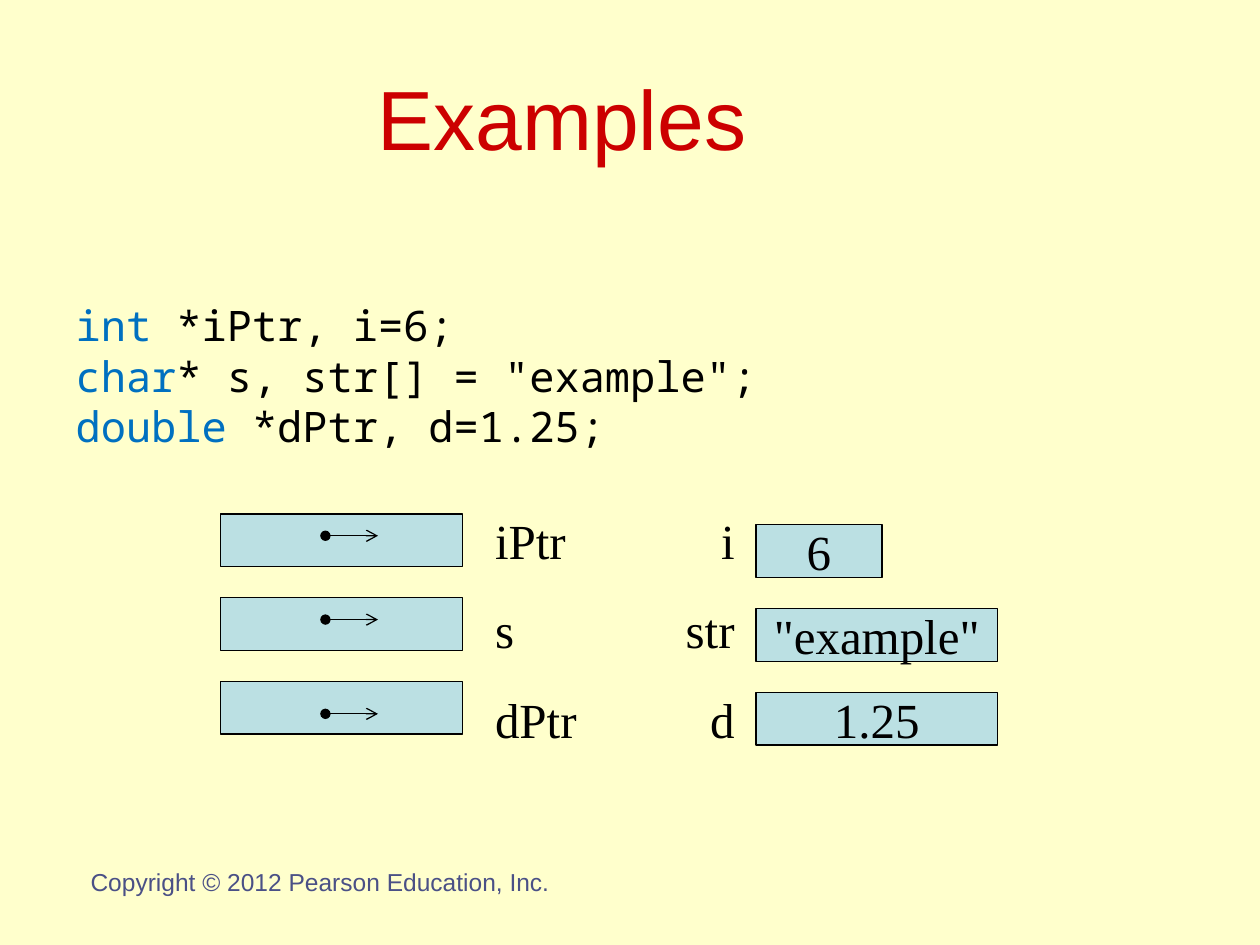
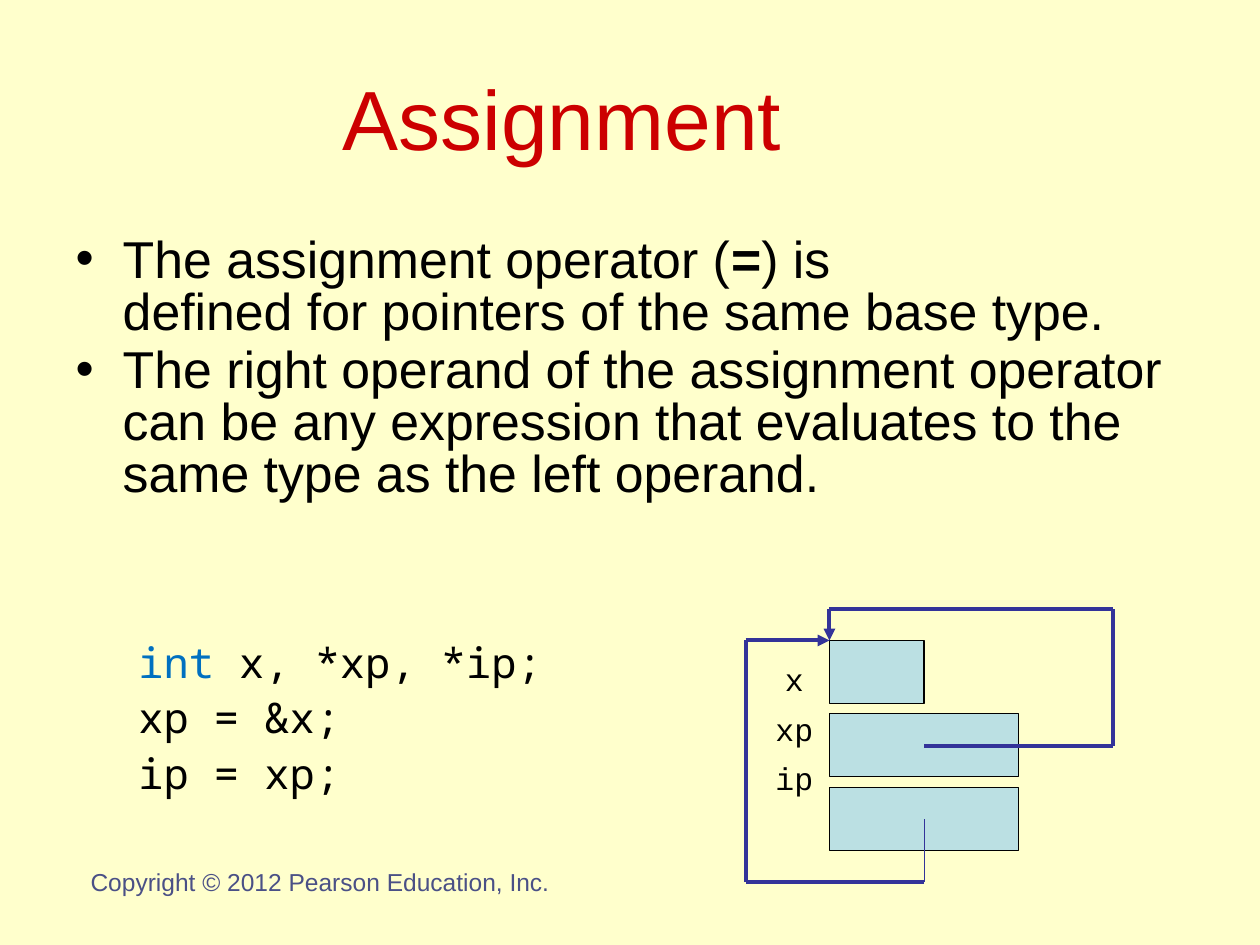
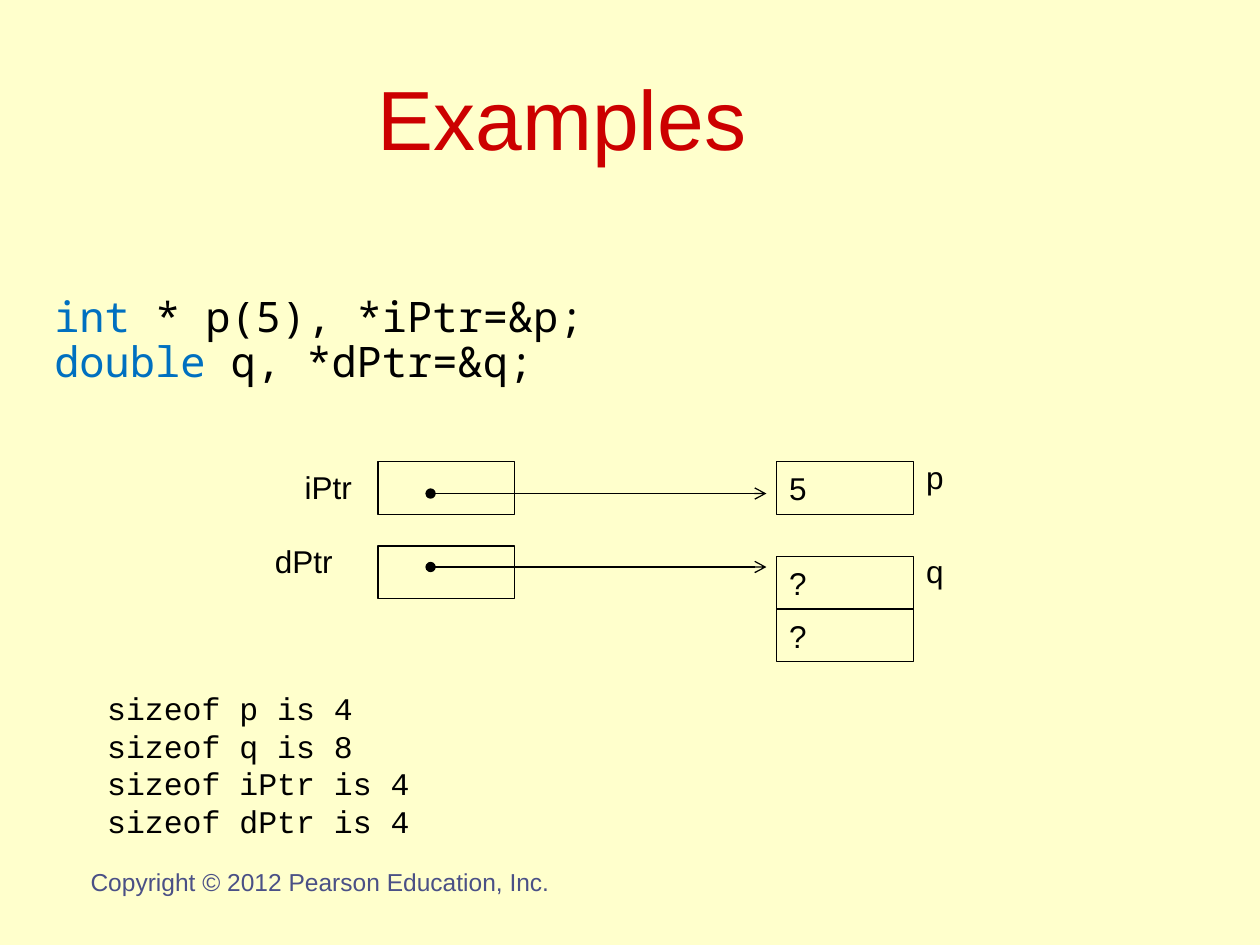
from dataclasses import dataclass
from itertools import pairwise

from lxml.etree import SubElement
from pptx import Presentation
from pptx.dml.color import RGBColor
from pptx.enum.shapes import MSO_CONNECTOR, MSO_SHAPE
from pptx.enum.text import MSO_ANCHOR, MSO_AUTO_SIZE, PP_ALIGN
from pptx.oxml.ns import qn
from pptx.util import Cm, Pt


@dataclass(frozen=True)
class Theme:
    background: str = "FFFFCC"
    title: str = "CC0000"
    text: str = "000000"
    keyword: str = "0070C0"
    footer: str = "4A5086"
    cell: str = "BBE0E3"
    pointer: str = "333399"
    sans: str = "Arial"
    serif: str = "Times New Roman"
    code: str = "Noto Sans Mono"
    output: str = "Courier New"
    title_size: float = 48
    bullet_size: float = 29.6
    value_size: float = 28
    code_size: float = 24
    small_size: float = 18
    footer_size: float = 14
    thin: float = 0.75
    thick: float = 2.25


THEME = Theme()
CELL_HEIGHT = 1.06


def write(frame, paragraphs, *, font=THEME.sans, size=THEME.small_size,
          color=THEME.text, align=PP_ALIGN.LEFT, anchor=MSO_ANCHOR.TOP,
          before=0, spacing=None, indent=0, bullet=None):
    """Fill a text frame; a paragraph is a string or a list of (text, format) spans."""
    frame.word_wrap = True
    frame.auto_size = MSO_AUTO_SIZE.NONE
    frame.vertical_anchor = anchor
    for index, spans in enumerate(paragraphs):
        para = frame.add_paragraph() if index else frame.paragraphs[0]
        set_bullet(para, bullet, indent)
        para.alignment = align
        para.space_before = Pt(before if index else 0)
        if spacing:
            para.line_spacing = spacing
        if isinstance(spans, str):
            spans = [(spans, {})]
        for text, style in spans:
            for number, line in enumerate(text.split("\n")):
                if number:
                    para.add_line_break()
                span = para.add_run()
                span.text = line
                span.font.name = font
                span.font.size = Pt(size)
                span.font.bold = style.get("bold", False)
                span.font.color.rgb = RGBColor.from_string(style.get("color", color))


def set_bullet(para, bullet, indent):
    properties = para._p.get_or_add_pPr()
    properties.set("marL", str(Cm(indent)))
    properties.set("indent", str(-Cm(indent)))
    if bullet:
        SubElement(properties, qn("a:buChar"), char=bullet)
    else:
        SubElement(properties, qn("a:buNone"))


def place(shape, left, top, width, height):
    shape.left, shape.top = Cm(left), Cm(top)
    shape.width, shape.height = Cm(width), Cm(height)


def add_text(page, paragraphs, left, top, width, height, **style):
    box = page.shapes.add_textbox(Cm(left), Cm(top), Cm(width), Cm(height))
    write(box.text_frame, paragraphs, **style)


def add_page(deck, title, body, area, **style):
    page = deck.slides.add_slide(deck.slide_layouts[1])
    heading, content = page.placeholders
    place(heading, 1.27, 0.76, 20.12, 3.18)
    write(heading.text_frame, [title], size=THEME.title_size, color=THEME.title,
          align=PP_ALIGN.CENTER, anchor=MSO_ANCHOR.MIDDLE)
    place(content, *area)
    write(content.text_frame, body, **style)
    add_text(page, ["Copyright © 2012 Pearson Education, Inc."], 0.64, 17.35, 11.63, 1.32,
             size=THEME.footer_size, color=THEME.footer, align=PP_ALIGN.CENTER)
    return page


def add_cell(page, left, top, width, height=CELL_HEIGHT, value=None, fill=THEME.cell, **style):
    """Draw one memory cell, with its value if it has one."""
    cell = page.shapes.add_shape(MSO_SHAPE.RECTANGLE, Cm(left), Cm(top), Cm(width), Cm(height))
    cell.shadow.inherit = False
    if fill:
        cell.fill.solid()
        cell.fill.fore_color.rgb = RGBColor.from_string(fill)
    else:
        cell.fill.background()
    cell.line.color.rgb = RGBColor.from_string(THEME.text)
    cell.line.width = Pt(THEME.thin)
    if value:
        write(cell.text_frame, [value], anchor=MSO_ANCHOR.MIDDLE, **style)


def add_line(page, start, end, *, color=THEME.text, width=THEME.thin, head=None, tail=None):
    line = page.shapes.add_connector(MSO_CONNECTOR.STRAIGHT, *map(Cm, start + end))
    line.line.color.rgb = RGBColor.from_string(color)
    line.line.width = Pt(width)
    outline = line.line._get_or_add_ln()
    for tag, kind in (("a:headEnd", head), ("a:tailEnd", tail)):
        if kind:
            SubElement(outline, qn(tag), type=kind)
    SubElement(line._element.spPr, qn("a:effectLst"))


def add_pointer(page, left, right, top):
    add_line(page, (left, top), (right, top), head="oval", tail="arrow")


def add_route(page, points):
    """Join the points with thick lines, the last one with an arrowhead."""
    for start, end in pairwise(points):
        add_line(page, start, end, color=THEME.pointer, width=THEME.thick,
                 tail="triangle" if end == points[-1] else None)


def code_line(keyword, rest):
    return [(keyword, {"color": THEME.keyword}), (rest, {})]


def build_declarations(deck):
    body = [code_line("int ", "*iPtr, i=6;"),
            code_line("char", '* s, str[] = "example";'),
            code_line("double ", "*dPtr, d=1.25;")]
    page = add_page(deck, "Examples", body, (1.27, 5.92, 22.86, 3.81),
                    font=THEME.code, size=THEME.code_size)
    serif = {"font": THEME.serif, "size": THEME.value_size}
    pitch = 1.69
    values = [("6", 2.54), ('"example"', 4.87), ("1.25", 4.87)]
    for row, (value, width) in enumerate(values):
        add_cell(page, 4.45, 10.36 + row * pitch, 4.87)
        add_cell(page, 15.24, 10.58 + row * pitch, width, value=value,
                 align=PP_ALIGN.CENTER, **serif)
    for top in (10.8, 12.49, 14.39):
        add_pointer(page, 6.56, 7.62, top)
    add_text(page, ["iPtr", "s", "dPtr"], 9.73, 10.16, 2.74, 5.05, before=17.5, **serif)
    add_text(page, ["i", "str", "d"], 12.32, 10.16, 2.74, 5.05, before=17.5,
             align=PP_ALIGN.RIGHT, **serif)


def build_assignment(deck):
    body = [[("The assignment operator (", {}), ("=", {"bold": True}),
             (") is\ndefined for pointers of the same base type.", {})],
            "The right operand of the assignment operator can be any expression "
            "that evaluates to the same type as the left operand."]
    page = add_page(deck, "Assignment", body, (1.27, 4.66, 22.86, 7.83),
                    size=THEME.bullet_size, before=4, spacing=0.83, indent=0.95, bullet="•")
    add_text(page, [code_line("int", " x, *xp, *ip;"), "xp = &x;", "ip = xp;"],
             2.54, 12.7, 10.37, 4.54, font=THEME.code, size=THEME.code_size, before=3)

    left, top, middle = 16.72, 12.91, 18.63
    for row, width in enumerate((1.91, 3.81, 3.81)):
        add_cell(page, left, top + row * 1.48, width, 1.27)
    add_text(page, ["x", "xp", "ip"], 15.24, 13.18, 1.55, 3.02, font=THEME.output,
             align=PP_ALIGN.CENTER, anchor=MSO_ANCHOR.MIDDLE, before=6.8)
    target, below, above = (left, top), 17.78, 12.28
    add_line(page, (middle, 16.51), (middle, below), color=THEME.pointer)
    add_route(page, [(middle, below), (15.03, below), (15.03, top), target])
    add_route(page, [(middle, 15.03), (22.44, 15.03), (22.44, above), (left, above), target])


def build_sizes(deck):
    body = [code_line("int ", "* p(5), *iPtr=&p;"), code_line("double ", "q, *dPtr=&q;")]
    page = add_page(deck, "Examples", body, (0.84, 5.92, 24.56, 2.33), font=THEME.code,
                    size=THEME.code_size, before=3, spacing=0.8, indent=0.95)
    width = 2.75
    for top, pointer_top in ((9.31, 9.95), (11.01, 11.43)):
        add_cell(page, 7.62, top, width, fill=None)
        add_pointer(page, 8.68, 15.45, pointer_top)
    for value, top in (("5", 9.31), ("?", 11.22), ("?", 11.22 + CELL_HEIGHT)):
        add_cell(page, 15.66, top, width, value=value, fill=None)
    labels = [("iPtr", 5.89, 9.31), ("dPtr", 5.29, 10.8), ("p", 18.42, 9.1), ("q", 18.42, 11.01)]
    for name, left, top in labels:
        add_text(page, [name], left, top, 1.7, 1.02)
    sizes = {"p": 4, "q": 8, "iPtr": 4, "dPtr": 4}
    add_text(page, [f"sizeof {name} is {size}" for name, size in sizes.items()],
             1.91, 13.76, 9.53, 3.3, font=THEME.output)


def main():
    deck = Presentation()
    deck.slide_width, deck.slide_height = Cm(25.4), Cm(19.05)
    background = deck.slide_master.background.fill
    background.solid()
    background.fore_color.rgb = RGBColor.from_string(THEME.background)
    build_declarations(deck)
    build_assignment(deck)
    build_sizes(deck)
    deck.save("out.pptx")


if __name__ == "__main__":
    main()
